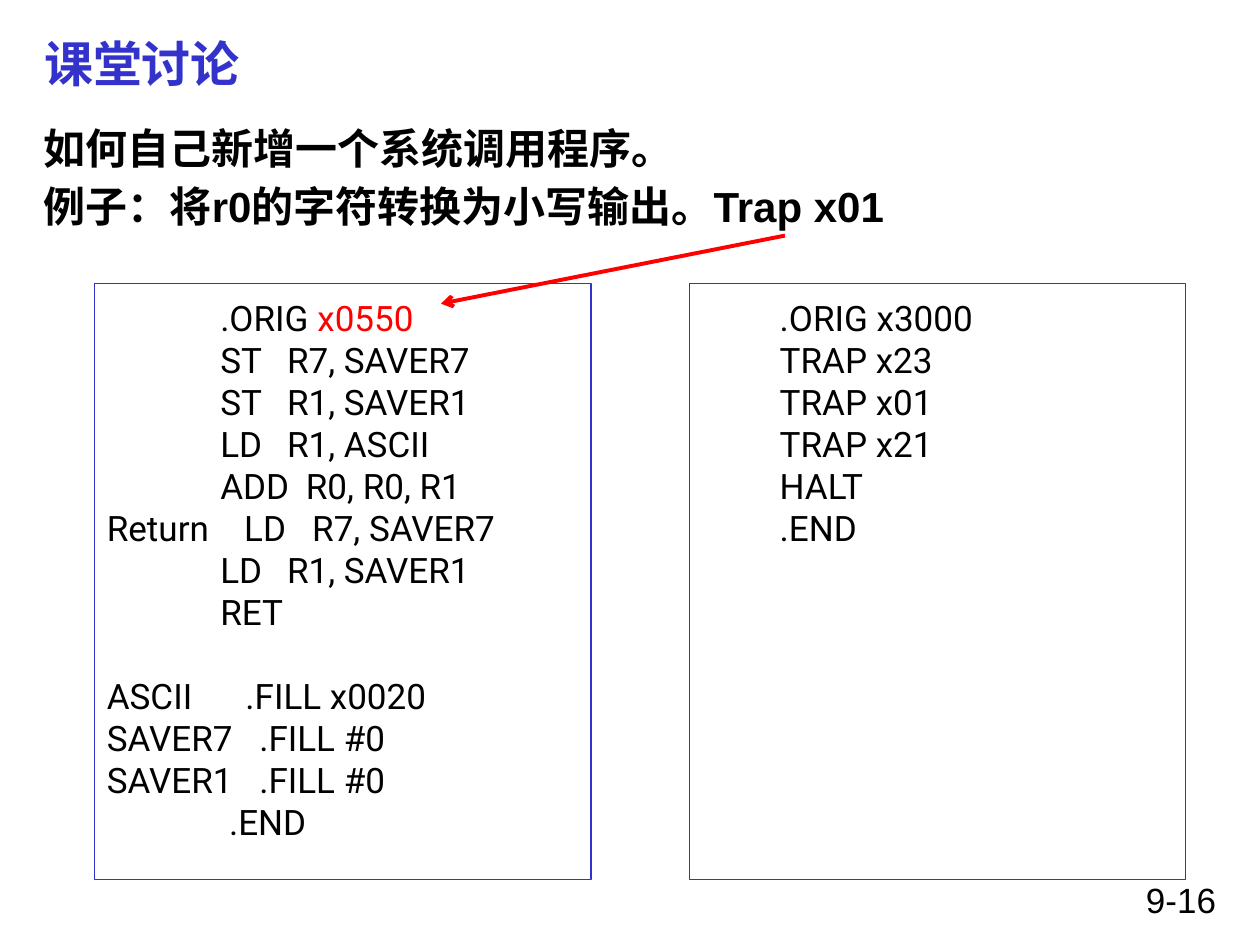
import pptx
import pptx.util
import pptx.dml.color
import pptx.enum.shapes
import pptx.enum.text
import pptx.oxml
import pptx.oxml.ns
from dataclasses import dataclass
from pptx.util import Inches

ALIGN = pptx.enum.text.PP_ALIGN
ANCHOR = pptx.enum.text.MSO_ANCHOR


@dataclass(frozen=True)
class Theme:
    blue: str = "3333CC"
    black: str = "000000"
    red: str = "FF0000"
    heading_font: str = "Arial"
    code_font: str = "Roboto"
    title_size: int = 28
    body_size: int = 24
    code_size: int = 20


THEME = Theme()

ROUTINE = [
    ("\t.ORIG |x0550", (0.9,)),
    ("\tST\tR7, SAVER7", (0.9, 1.43)),
    ("\tST\tR1, SAVER1", (0.9, 1.43)),
    ("\tLD\tR1, ASCII", (0.9, 1.43)),
    ("\tADD\tR0, R0, R1", (0.9, 1.58)),
    ("Return\tLD\tR7, SAVER7", (1.09, 1.63)),
    ("\tLD\tR1, SAVER1", (0.9, 1.43)),
    ("\tRET", (0.9,)),
    ("ASCII\t.FILL x0020", (1.1,)),
    ("SAVER7\t.FILL #0", (1.21,)),
    ("SAVER1\t.FILL #0", (1.21,)),
    ("\t.END", (0.97,)),
]
DATA_START = 8
CALLER = [
    (f"\t{line}", (0.62,))
    for line in (".ORIG x3000", "TRAP x23", "TRAP x01", "TRAP x21", "HALT", ".END")
]


def rgb(colour):
    return pptx.dml.color.RGBColor.from_string(colour)


def add_span(para, text, size, colour, font=THEME.heading_font, bold=False):
    span = para.add_run()
    span.text = text
    span.font.name = font
    span.font.size = pptx.util.Pt(size)
    span.font.bold = bold
    span.font.color.rgb = rgb(colour)


def next_para(frame, index):
    return frame.paragraphs[0] if index == 0 else frame.add_paragraph()


def place(shape, left, top, width, height):
    shape.left, shape.top = Inches(left), Inches(top)
    shape.width, shape.height = Inches(width), Inches(height)


def add_title(page, text):
    title = page.shapes.title
    place(title, 0.25, 0.21, 9.5, 0.58)
    frame = title.text_frame
    frame.auto_size = pptx.enum.text.MSO_AUTO_SIZE.NONE
    frame.vertical_anchor = ANCHOR.MIDDLE
    para = frame.paragraphs[0]
    para.alignment = ALIGN.LEFT
    add_span(para, text, THEME.title_size, THEME.blue, bold=True)


def add_text(page, bounds, lines, size, bold=False, align=ALIGN.LEFT, space=0):
    box = page.shapes.add_textbox(*map(Inches, bounds))
    frame = box.text_frame
    frame.word_wrap = True
    for index, line in enumerate(lines):
        para = next_para(frame, index)
        para.alignment = align
        para.space_before = pptx.util.Pt(space)
        add_span(para, line, size, THEME.black, bold=bold)


def set_tabs(para, stops):
    properties = para._p.get_or_add_pPr()
    tabs = pptx.oxml.parse_xml(f'<a:tabLst {pptx.oxml.ns.nsdecls("a")}/>')
    for stop in stops:
        tab = tabs.makeelement(pptx.oxml.ns.qn("a:tab"))
        tab.set("pos", str(Inches(stop)))
        tab.set("algn", "l")
        tabs.append(tab)
    properties.append(tabs)


def add_code(page, left, lines, gap_before=None):
    box = page.shapes.add_shape(
        pptx.enum.shapes.MSO_SHAPE.RECTANGLE,
        Inches(left), Inches(2.25), Inches(3.94), Inches(4.73),
    )
    box.shadow.inherit = False
    box.fill.background()
    box.line.color.rgb = rgb(THEME.blue)
    box.line.width = pptx.util.Pt(0.75)
    frame = box.text_frame
    frame.word_wrap = True
    frame.vertical_anchor = ANCHOR.TOP
    frame.margin_top = Inches(0.1)
    for index, (line, stops) in enumerate(lines):
        para = next_para(frame, index)
        para.alignment = ALIGN.LEFT
        if index == gap_before:
            para.space_before = pptx.util.Pt(24)
        set_tabs(para, stops)
        for text, colour in zip(line.split("|"), (THEME.black, THEME.red)):
            add_span(para, text, THEME.code_size, colour, THEME.code_font)


def add_arrow(page, start, end):
    arrow = page.shapes.add_connector(
        pptx.enum.shapes.MSO_CONNECTOR.STRAIGHT, *map(Inches, start + end)
    )
    arrow.line.color.rgb = rgb(THEME.red)
    arrow.line.width = pptx.util.Pt(2.25)
    namespace = pptx.oxml.ns.nsdecls("a")
    arrow.line._get_or_add_ln().append(
        pptx.oxml.parse_xml(f'<a:tailEnd {namespace} type="arrow"/>')
    )
    arrow._element.spPr.append(pptx.oxml.parse_xml(f"<a:effectLst {namespace}/>"))


def main():
    deck = pptx.Presentation()
    deck.slide_width, deck.slide_height = Inches(10), Inches(7.5)
    page = deck.slides.add_slide(deck.slide_layouts[5])
    add_title(page, "课堂讨论")
    question = [
        "如何自己新增一个系统调用程序。",
        "例子：将r0的字符转换为小写输出。Trap x01",
    ]
    add_text(page, (0.25, 0.92, 9.5, 1.1), question, THEME.body_size, bold=True, space=4.8)
    add_text(page, (7.17, 6.92, 2.58, 0.42), ["9-16"], THEME.code_size, align=ALIGN.RIGHT)
    add_code(page, 0.75, ROUTINE, gap_before=DATA_START)
    add_code(page, 5.47, CALLER)
    add_arrow(page, (6.23, 1.87), (3.5, 2.41))
    deck.save("out.pptx")


if __name__ == "__main__":
    main()
